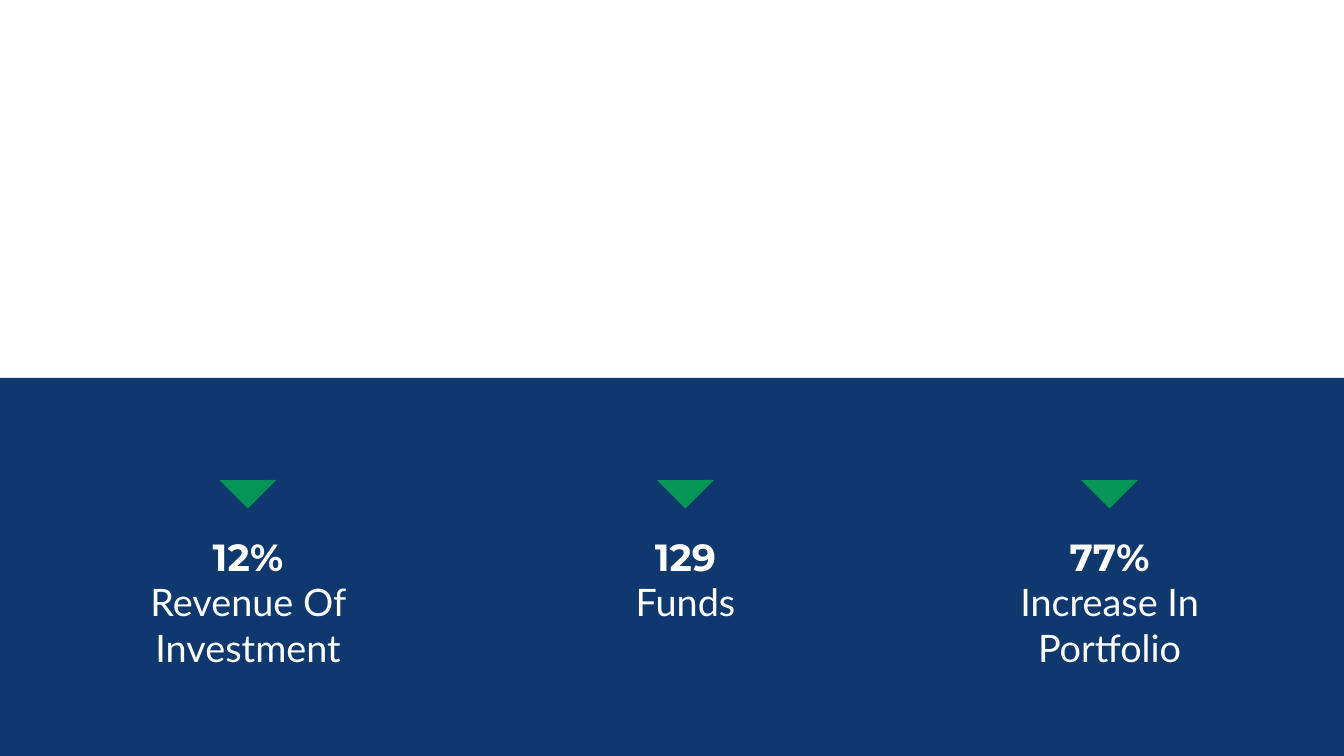
import pptx
import pptx.util
from pptx.dml.color import RGBColor
from pptx.enum.shapes import MSO_SHAPE
from pptx.enum.text import MSO_AUTO_SIZE, PP_ALIGN
from pptx.util import Cm

FIGURES = [
    {"value": "12%", "label": "Revenue Of Investment", "center": 12.5, "width": 11.94, "height": 7.19},
    {"value": "129", "label": "Funds", "center": 34.54, "width": 6.45, "height": 4.88},
    {"value": "77%", "label": "Increase In Portfolio", "center": 55.91, "width": 10.52, "height": 7.19},
]

THEME = {
    "band": RGBColor.from_string("0F386E"),
    "marker": RGBColor.from_string("059557"),
    "text": RGBColor.from_string("FFFFFF"),
    "value_font": "Montserrat",
    "label_font": "Lato",
    "size": 54,
}

SLIDE_WIDTH, SLIDE_HEIGHT = 67.72, 38.1
MARKER_TOP, MARKER_WIDTH, MARKER_HEIGHT = 23.19, 2.03, 2.01
TEXT_TOP = 26.77


def add_block(slide, preset, left, top, width, height, color):
    block = slide.shapes.add_shape(preset, Cm(left), Cm(top), Cm(width), Cm(height))
    block.shadow.inherit = False
    block.fill.solid()
    block.fill.fore_color.rgb = color
    block.line.fill.background()
    return block


def write(paragraph, text, *, font, bold=False):
    paragraph.alignment = PP_ALIGN.CENTER
    run = paragraph.add_run()
    run.text = text
    run.font.name = font
    run.font.size = pptx.util.Pt(THEME["size"])
    run.font.bold = bold
    run.font.color.rgb = THEME["text"]


def add_figure(slide, figure):
    left = figure["center"] - figure["width"] / 2
    caption = slide.shapes.add_textbox(
        Cm(left), Cm(TEXT_TOP), Cm(figure["width"]), Cm(figure["height"])
    ).text_frame
    caption.word_wrap = True
    caption.auto_size = MSO_AUTO_SIZE.SHAPE_TO_FIT_TEXT
    write(caption.paragraphs[0], figure["value"], font=THEME["value_font"], bold=True)
    write(caption.add_paragraph(), figure["label"], font=THEME["label_font"])

    marker = add_block(
        slide, MSO_SHAPE.RIGHT_TRIANGLE, figure["center"] - MARKER_WIDTH / 2,
        MARKER_TOP, MARKER_WIDTH, MARKER_HEIGHT, THEME["marker"],
    )
    marker.rotation = 315


def main():
    deck = pptx.Presentation()
    deck.slide_width = Cm(SLIDE_WIDTH)
    deck.slide_height = Cm(SLIDE_HEIGHT)
    slide = deck.slides.add_slide(deck.slide_layouts[6])

    half = SLIDE_HEIGHT / 2
    add_block(slide, MSO_SHAPE.RECTANGLE, 0, half, SLIDE_WIDTH, half, THEME["band"])
    for figure in FIGURES:
        add_figure(slide, figure)

    deck.save("out.pptx")


if __name__ == "__main__":
    main()
